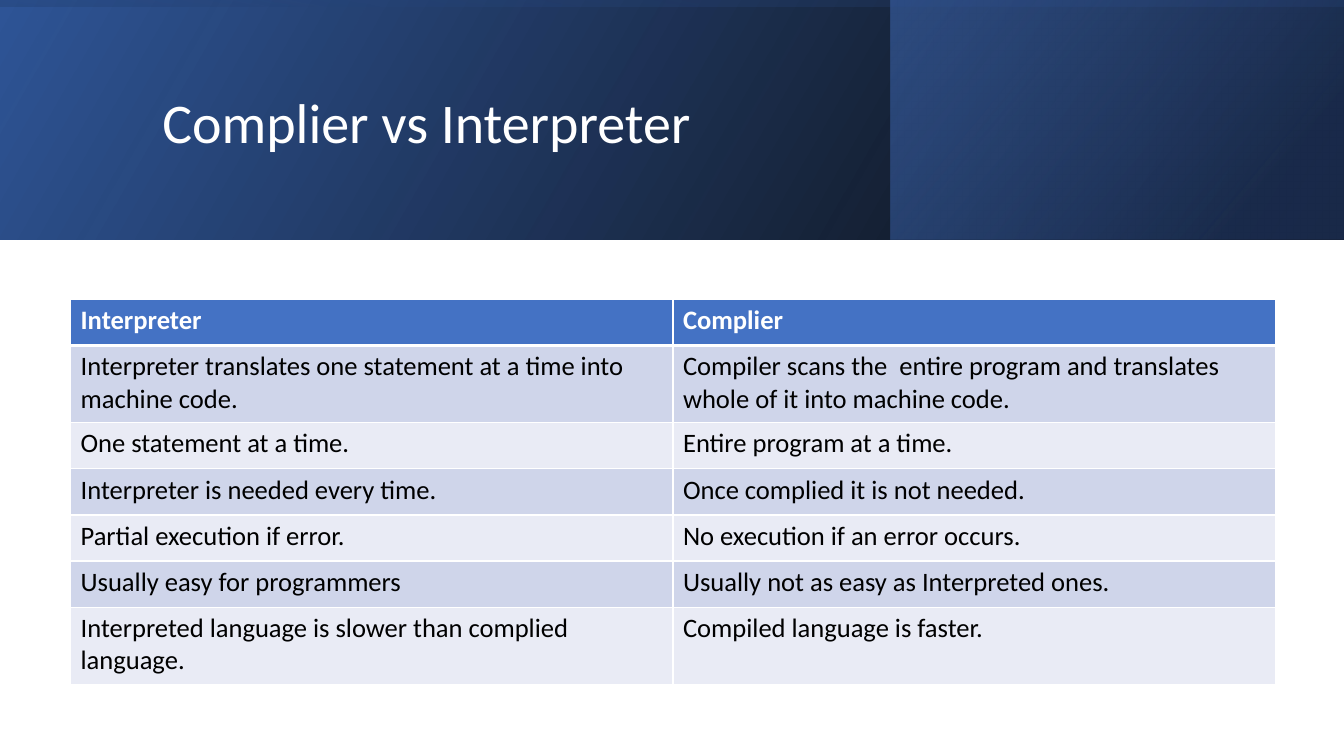
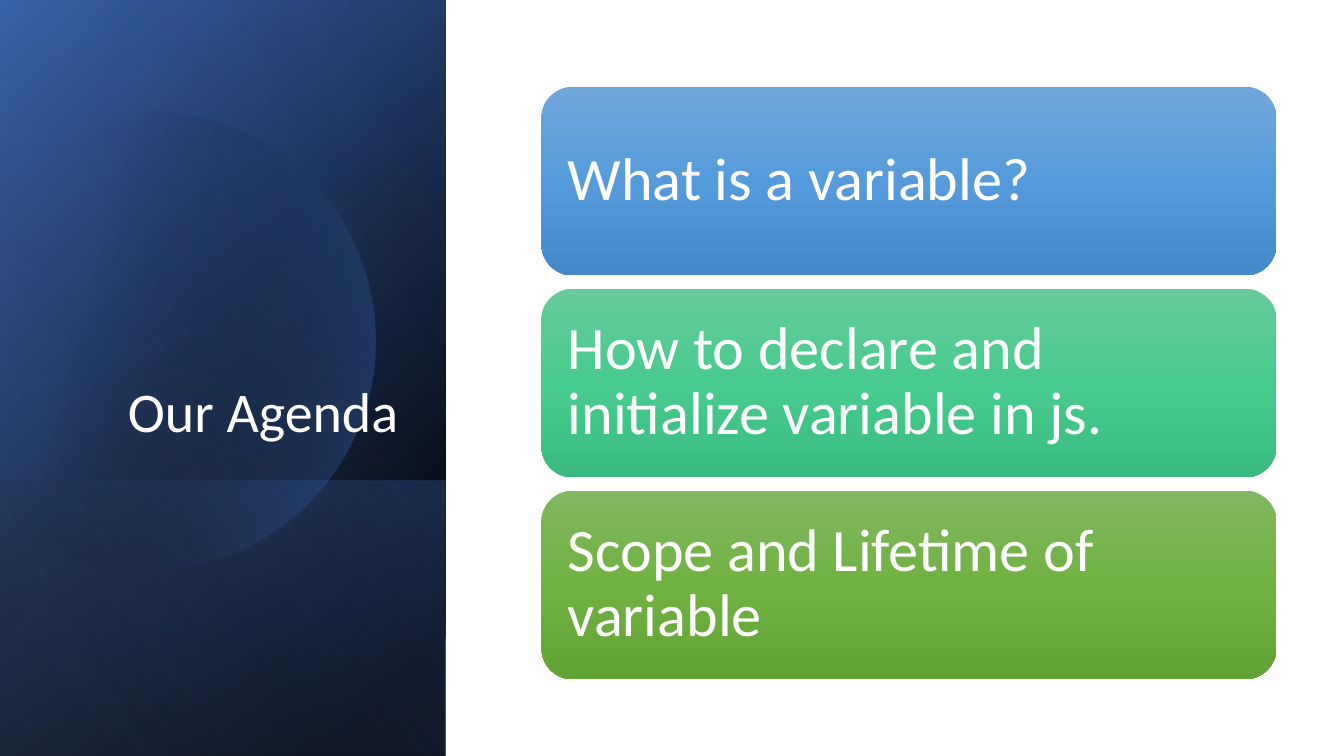
from dataclasses import dataclass
from itertools import pairwise
from math import cos, radians, sin, tan

from lxml import etree
from pptx import Presentation
from pptx.dml.color import RGBColor
from pptx.enum import shapes, text
from pptx.oxml import ns
from pptx.util import Inches, Pt


@dataclass(frozen=True)
class Theme:
    font: str = "Calibri"
    title_size: int = 40
    card_size: int = 43
    table_size: int = 19
    white: str = "FFFFFF"
    black: str = "000000"
    accent: str = "4472C4"
    deep: str = "2F5597"
    navy: str = "203864"
    pale: str = "8FAADC"
    odd_row: str = "CFD5EA"
    even_row: str = "E9EBF5"
    blue_card: tuple = ("71A6DB", "559BDB", "448ACA")
    mint_card: tuple = ("67CC9A", "47CB8E", "39BB7F")
    green_card: tuple = ("81B861", "6FB242", "62A336")


THEME = Theme()
WIDTH, HEIGHT = 13.33, 7.5

COMPARISON = [
    ("Interpreter", "Complier"),
    ("Interpreter translates one statement at a time into machine code.",
     "Compiler scans the  entire program and translates whole of it into machine code."),
    ("One statement at a time.", "Entire program at a time."),
    ("Interpreter is needed every time.", "Once complied it is not needed."),
    ("Partial execution if error.", "No execution if an error occurs."),
    ("Usually easy for programmers", "Usually not as easy as Interpreted ones."),
    ("Interpreted language is slower than complied language.", "Compiled language is faster."),
]
ROW_SHARES = (0.46, 0.77, 0.46, 0.46, 0.46, 0.46, 0.77)

AGENDA = [
    ("What is a variable?", THEME.blue_card),
    ("How to declare and initialize variable in js.", THEME.mint_card),
    ("Scope and Lifetime of variable", THEME.green_card),
]


def write(frame, content, size, color=THEME.white, bold=False, align=text.PP_ALIGN.LEFT,
          anchor=text.MSO_ANCHOR.MIDDLE, spacing=1.0, margins=(0.1, 0.05)):
    frame.word_wrap = True
    frame.auto_size = text.MSO_AUTO_SIZE.NONE
    frame.vertical_anchor = anchor
    frame.margin_left = frame.margin_right = Inches(margins[0])
    frame.margin_top = frame.margin_bottom = Inches(margins[1])
    para = frame.paragraphs[0]
    para.alignment = align
    para.line_spacing = spacing
    span = para.add_run()
    span.text = content
    span.font.name = THEME.font
    span.font.size = Pt(size)
    span.font.bold = bold
    span.font.color.rgb = RGBColor.from_string(color)


def paint_gradient(shape, stops, angle):
    shape.shadow.inherit = False
    shape.line.fill.background()
    shape.fill.background()
    gradient = etree.Element(ns.qn("a:gradFill"), rotWithShape="1")
    stop_list = etree.SubElement(gradient, ns.qn("a:gsLst"))
    for position, color, opacity in stops:
        stop = etree.SubElement(stop_list, ns.qn("a:gs"), pos=str(position * 1000))
        tint = etree.SubElement(stop, ns.qn("a:srgbClr"), val=color)
        if opacity < 100:
            etree.SubElement(tint, ns.qn("a:alpha"), val=str(opacity * 1000))
    etree.SubElement(gradient, ns.qn("a:lin"), ang=str(angle * 60000), scaled="0")
    properties = shape.element.spPr
    properties.replace(properties.find(ns.qn("a:noFill")), gradient)


def add_panel(page, box, stops, angle, turn=0):
    left, top, width, height = box
    if turn:
        left, top = left + (width - height) / 2, top + (height - width) / 2
        width, height = height, width
    panel = page.shapes.add_shape(shapes.MSO_SHAPE.RECTANGLE, *map(Inches, (left, top, width, height)))
    panel.rotation = turn
    panel.element.spPr.find(ns.qn("a:xfrm")).set("flipH", "1")
    paint_gradient(panel, stops, angle)


def add_title(page, box, content, **style):
    title = page.shapes.title
    title.left, title.top, title.width, title.height = map(Inches, box)
    title.element.getparent().append(title.element)
    write(title.text_frame, content, THEME.title_size, spacing=0.9, **style)


def add_header_band(page, box):
    left, top, width, height = box
    side = 4.5
    add_panel(page, box, [(0, THEME.black, 96), (100, THEME.deep, 100)], 330)
    add_panel(page, (left + width - side, top, side - 0.01, height),
              [(19, THEME.navy, 68), (100, THEME.accent, 48)], 320)
    add_panel(page, box, [(23, THEME.deep, 16), (99, THEME.black, 45)], 350, turn=270)


def bend_arc(disc, center, radius, angles):
    segments = list(disc.element.iter(ns.qn("a:lnTo")))
    for segment, (start, end) in zip(segments, pairwise(angles)):
        reach = radius * 4 / 3 * tan(radians(end - start) / 4)
        curve = etree.Element(ns.qn("a:cubicBezTo"))
        for angle, pull in ((start, reach), (end, -reach), (end, 0)):
            turn = radians(angle)
            across = center[0] + radius * cos(turn) - pull * sin(turn)
            down = center[1] + radius * sin(turn) + pull * cos(turn)
            etree.SubElement(curve, ns.qn("a:pt"), x=str(Inches(across) - disc.left),
                             y=str(Inches(down) - disc.top))
        segment.getparent().replace(segment, curve)


def add_disc(page, box):
    center, radius = (box[0] + 1.44, box[1] + 3.38), 2.28
    angles = (-134, -90, 0, 90, 134)
    points = [(Inches(center[0] + radius * cos(radians(angle))),
               Inches(center[1] + radius * sin(radians(angle)))) for angle in angles]
    builder = page.shapes.build_freeform(*points[0])
    builder.add_line_segments(points[1:], close=True)
    disc = builder.convert_to_shape()
    bend_arc(disc, center, radius, angles)
    paint_gradient(disc, [(29, THEME.black, 0), (100, THEME.accent, 43)], 14)


def add_side_band(page, box):
    left, top, width, height = box
    foot = 2.73
    add_panel(page, box, [(8, THEME.black, 100), (100, THEME.deep, 100)], 50, turn=90)
    add_panel(page, box, [(0, THEME.black, 0), (99, THEME.accent, 46)], 30, turn=90)
    add_panel(page, (left, top + height - foot, width, foot),
              [(2, THEME.accent, 29), (100, THEME.black, 30)], 130, turn=90)
    add_disc(page, box)
    add_panel(page, box, [(0, THEME.black, 0), (99, THEME.pale, 11)], 120, turn=90)


def add_borders(cell, **widths):
    properties = cell._tc.get_or_add_tcPr()
    for side in "LRTB":
        line = etree.SubElement(properties, ns.qn(f"a:ln{side}"), w=str(Pt(widths.get(side, 1))))
        fill = etree.SubElement(line, ns.qn("a:solidFill"))
        etree.SubElement(fill, ns.qn("a:srgbClr"), val=THEME.white)


def add_comparison(page, box):
    grid = page.shapes.add_table(len(COMPARISON), 2, *map(Inches, box)).table
    for row, share in zip(grid.rows, ROW_SHARES):
        row.height = Inches(box[3] * share / sum(ROW_SHARES))
    for index, entries in enumerate(COMPARISON):
        header = index == 0
        fill = THEME.accent if header else THEME.odd_row if index % 2 else THEME.even_row
        widths = {0: {"B": 3}, 1: {"T": 3}}.get(index, {})
        for column, content in enumerate(entries):
            cell = grid.cell(index, column)
            add_borders(cell, **widths)
            cell.fill.solid()
            cell.fill.fore_color.rgb = RGBColor.from_string(fill)
            write(cell.text_frame, content, THEME.table_size, bold=header,
                  color=THEME.white if header else THEME.black,
                  anchor=text.MSO_ANCHOR.TOP)


def add_agenda_cards(page, box):
    left, top, width, height = box
    gap = 0.13
    card_height = (height - gap * (len(AGENDA) - 1)) / len(AGENDA)
    for index, (content, colors) in enumerate(AGENDA):
        place = (left, top + index * (card_height + gap), width, card_height)
        card = page.shapes.add_shape(shapes.MSO_SHAPE.ROUNDED_RECTANGLE, *map(Inches, place))
        paint_gradient(card, [(at, color, 100) for at, color in zip((0, 50, 100), colors)], 90)
        write(card.text_frame, content, THEME.card_size, spacing=0.9, margins=(0.17, 0.18))


def build_comparison(page):
    add_header_band(page, (0, 0, WIDTH, 2.38))
    add_title(page, (1.51, 0.38, 10.63, 1.72), "Complier vs Interpreter")
    add_comparison(page, (0.7, 2.97, 11.95, 3.82))


def build_agenda(page):
    add_side_band(page, (0, 0, 4.42, HEIGHT))
    add_title(page, (0.64, 1.84, 3.41, 2.62), "Our Agenda",
              align=text.PP_ALIGN.RIGHT, anchor=text.MSO_ANCHOR.BOTTOM)
    add_agenda_cards(page, (5.37, 0.86, 7.29, 5.88))


def main():
    deck = Presentation()
    deck.slide_width, deck.slide_height = Inches(WIDTH), Inches(HEIGHT)
    title_only = deck.slide_layouts[5]
    for build in (build_comparison, build_agenda):
        build(deck.slides.add_slide(title_only))
    deck.save("out.pptx")


if __name__ == "__main__":
    main()
